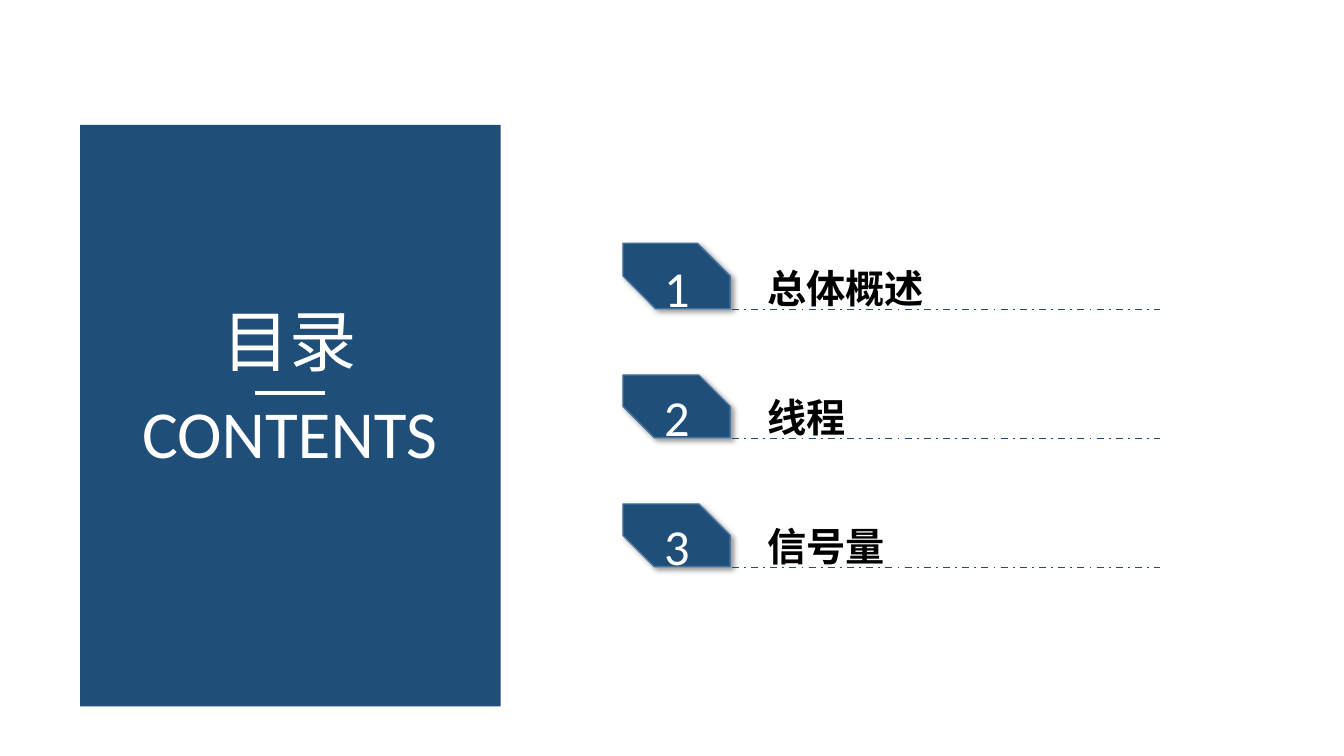
"""Build a contents slide with a title panel and three numbered sections."""
from dataclasses import dataclass

from lxml.etree import SubElement
from pptx import Presentation
from pptx.dml.color import RGBColor
from pptx.enum.dml import MSO_LINE
from pptx.enum.shapes import MSO_CONNECTOR, MSO_SHAPE
from pptx.enum.text import MSO_ANCHOR, MSO_AUTO_SIZE, PP_ALIGN
from pptx.oxml.ns import qn
from pptx.util import Cm, Pt

TITLE = "目录"
SUBTITLE = "CONTENTS"
SECTIONS = [("总体概述", 1.65), ("线程", 1.58), ("信号量", 1.58)]

FIRST_RULE = 7.8
PITCH = 3.25


@dataclass(frozen=True)
class Theme:
    """Colours, font and type sizes of the slide."""
    navy: RGBColor = RGBColor.from_string("1F4E79")
    edge: RGBColor = RGBColor.from_string("43739E")
    white: RGBColor = RGBColor.from_string("FFFFFF")
    black: RGBColor = RGBColor.from_string("000000")
    font: str = "Calibri"
    heading: int = 48
    number: int = 36
    label: int = 28


THEME = Theme()


def place(box, left, top, width, height):
    """Move and size a shape in centimetres."""
    box.left, box.top = Cm(left), Cm(top)
    box.width, box.height = Cm(width), Cm(height)


def write(box, lines, size, color, bold=False, align=PP_ALIGN.LEFT, wrap=True, spacing=1.0):
    """Fill a box with one formatted paragraph per line."""
    frame = box.text_frame
    frame.word_wrap = wrap
    frame.auto_size = MSO_AUTO_SIZE.NONE
    frame.vertical_anchor = MSO_ANCHOR.TOP
    for index, text in enumerate(lines):
        para = frame.add_paragraph() if index else frame.paragraphs[0]
        para.alignment = align
        para.line_spacing = spacing
        para.space_before = Pt(0)
        span = para.add_run()
        span.text = text
        span.font.name = THEME.font
        span.font.size = Pt(size)
        span.font.bold = bold
        span.font.color.rgb = color


def add_text(page, area, text, **style):
    """Add a text box over an area in centimetres."""
    box = page.shapes.add_textbox(*map(Cm, area))
    write(box, [text], **style)


def add_block(page, kind, area):
    """Add a navy shape without outline or shadow."""
    block = page.shapes.add_shape(kind, *map(Cm, area))
    block.fill.solid()
    block.fill.fore_color.rgb = THEME.navy
    block.line.fill.background()
    block.shadow.inherit = False
    return block


def add_rule(page, left, right, top, color, width, dash=None):
    """Add a horizontal line."""
    rule = page.shapes.add_connector(
        MSO_CONNECTOR.STRAIGHT, Cm(left), Cm(top), Cm(right), Cm(top))
    rule.line.color.rgb = color
    rule.line.width = Pt(width)
    if dash:
        rule.line.dash_style = dash
    SubElement(rule.element.spPr, qn("a:effectLst"))


def add_badge(page, bottom, height):
    """Add a snipped badge with a soft shadow."""
    badge = add_block(page, MSO_SHAPE.SNIP_2_DIAG_RECTANGLE, (15.7, bottom - height, 2.7, height))
    badge.adjustments[0] = 0
    badge.adjustments[1] = 0.5
    badge.line.color.rgb = THEME.edge
    badge.line.width = Pt(1)
    effects = badge.element.spPr.find(qn("a:effectLst"))
    shadow = SubElement(effects, qn("a:outerShdw"), blurRad=str(Pt(4)), dist=str(Pt(3)),
                        dir="2700000", algn="tl", rotWithShape="0")
    tint = SubElement(shadow, qn("a:srgbClr"), val=str(THEME.black))
    SubElement(tint, qn("a:alpha"), val="40000")


def add_labels(body):
    """Set the section names so that each line sits on its rule."""
    place(body, 19.08, 4.6, 10.4, PITCH * len(SECTIONS))
    write(body, [name for name, height in SECTIONS], size=THEME.label,
          color=THEME.black, bold=True, spacing=Cm(PITCH))
    frame = body.text_frame
    frame.margin_top = frame.margin_bottom = 0
    for para in frame.paragraphs:
        settings = para._p.get_or_add_pPr()
        settings.set("marL", "0")
        settings.set("indent", "0")
        SubElement(settings, qn("a:buNone"))


def main():
    """Compose and save the slide."""
    deck = Presentation()
    deck.slide_width, deck.slide_height = Cm(33.87), Cm(19.05)
    page = deck.slides.add_slide(deck.slide_layouts[1])
    title, body = page.placeholders

    panel = add_block(page, MSO_SHAPE.RECTANGLE, (2.02, 3.15, 10.6, 14.65))
    title.element.addprevious(panel.element)
    place(title, 5.36, 7.42, 3.9, 2.31)
    heading = dict(size=THEME.heading, color=THEME.white, wrap=False)
    write(title, [TITLE], **heading)
    add_text(page, (3.33, 9.73, 7.95, 2.31), SUBTITLE, **heading)
    add_rule(page, 6.43, 8.18, 9.9, THEME.white, 2.75)

    add_labels(body)
    for index, (name, height) in enumerate(SECTIONS):
        level = FIRST_RULE + index * PITCH
        add_badge(page, level - 0.02, height)
        add_text(page, (16.08, level - 1.44, 1.96, 1.8), str(index + 1),
                 size=THEME.number, color=THEME.white, align=PP_ALIGN.CENTER)
        add_rule(page, 18.44, 29.24, level, THEME.navy, 1.25, MSO_LINE.DASH_DOT)

    deck.save("out.pptx")


if __name__ == "__main__":
    main()
